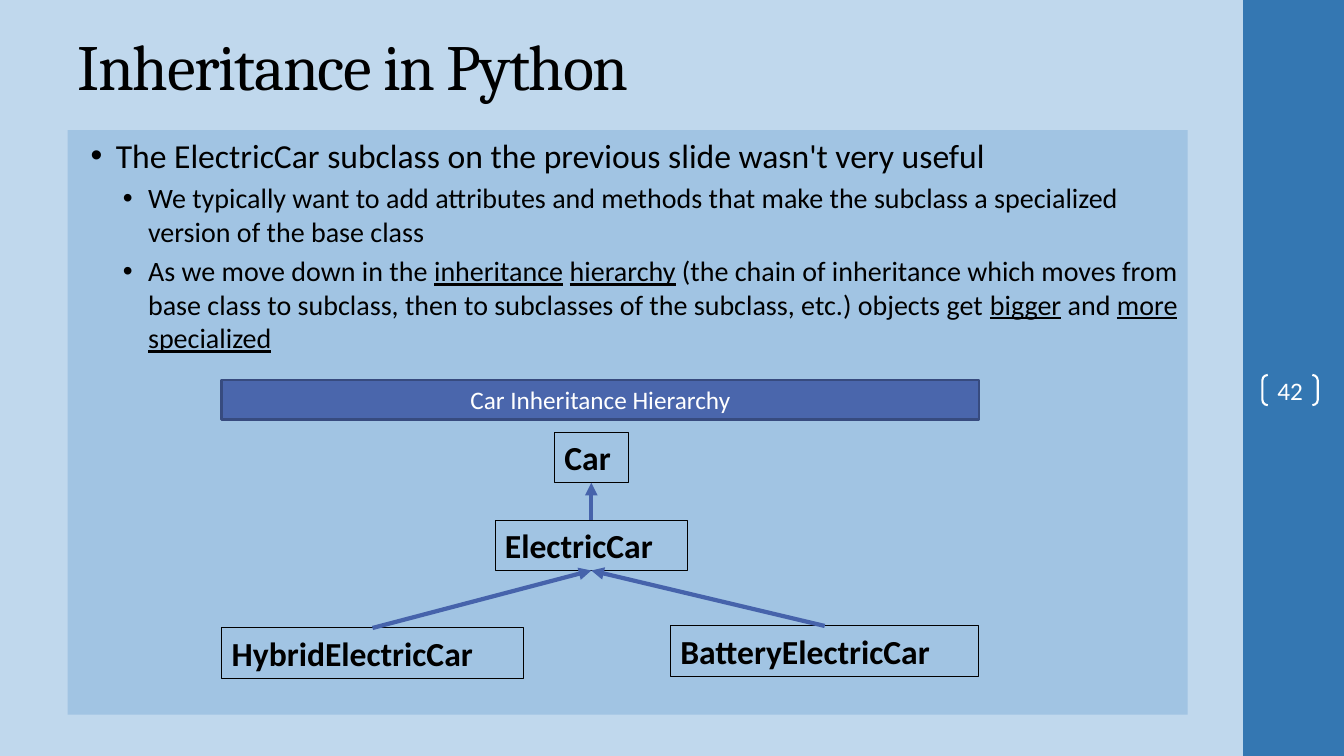
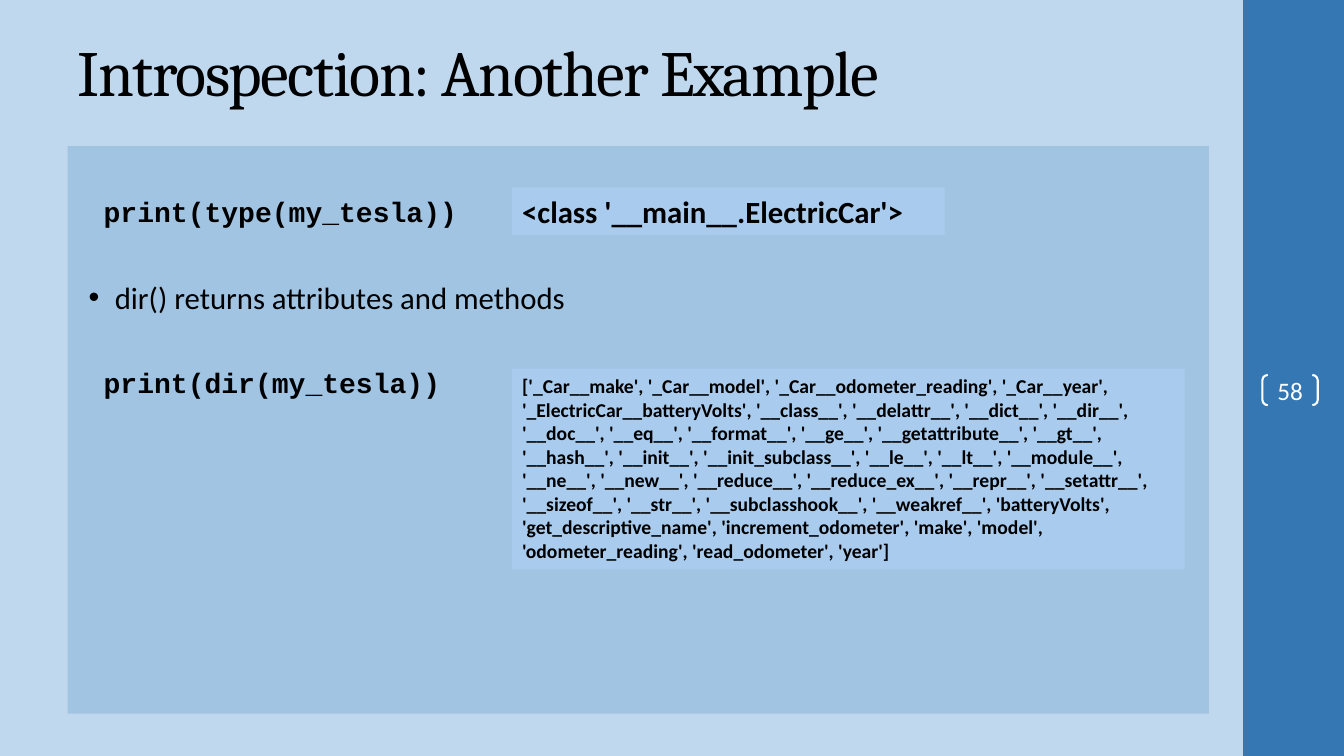
from lxml import etree
from pptx import Presentation
from pptx import util as u
from pptx.dml.color import RGBColor
from pptx.enum import shapes, text
from pptx.oxml import ns

PX = 9144  # EMU per px, 100 px to the inch
SLIDE_W, SLIDE_H = 1333, 750
MARGIN = 67
BAND_X, BAND_W = 1233, 100

BACKGROUND, BAND, PANEL, OUTPUT = "C0D8ED", "3477B2", "A1C4E3", "A9CCEE"
BLACK, WHITE = "000000", "FFFFFF"
BAR, BAR_EDGE, ARROW = "4A66AC", "374B7F", "4663AB"

LEFT, CENTER = text.PP_ALIGN.LEFT, text.PP_ALIGN.CENTER
TOP, MIDDLE = text.MSO_ANCHOR.TOP, text.MSO_ANCHOR.MIDDLE
RECT = shapes.MSO_SHAPE.RECTANGLE
BRACKETS = shapes.MSO_SHAPE.DOUBLE_BRACKET

# Paragraph styles: left margin and indent in px, the rest as font values
BULLET = dict(margin=38, indent=-25, bullet=True, size=24)
SUB_BULLET = dict(margin=70, indent=-25, bullet=True, size=20, level=1, before=4)
NOTE = dict(margin=37, indent=-26, bullet=True, size=22, before=36)
CODE = dict(margin=26, size=20, name="Courier New", bold=True)

DIR_OUTPUT = (
    "['_Car__make', '_Car__model', '_Car__odometer_reading', '_Car__year', "
    "'_ElectricCar__batteryVolts', '__class__', '__delattr__', '__dict__', "
    "'__dir__', '__doc__', '__eq__', '__format__', '__ge__', "
    "'__getattribute__', '__gt__', '__hash__', '__init__', "
    "'__init_subclass__', '__le__', '__lt__', '__module__', '__ne__', "
    "'__new__', '__reduce__', '__reduce_ex__', '__repr__', '__setattr__', "
    "'__sizeof__', '__str__', '__subclasshook__', '__weakref__', "
    "'batteryVolts', 'get_descriptive_name', 'increment_odometer', 'make', "
    "'model', 'odometer_reading', 'read_odometer', 'year']"
)


def px(n):
    return u.Emu(n * PX)


def rgb(value):
    return RGBColor.from_string(value)


def assign(obj, **values):
    for name, value in values.items():
        setattr(obj, name, value)


def child(parent, tag, **attrs):
    return etree.SubElement(parent, ns.qn(tag), attrs)


def set_font(font, size, color=BLACK, name="Calibri", bold=False):
    assign(font, size=u.Pt(size), name=name, bold=bold)
    font.color.rgb = rgb(color)


def add_box(slide, x, y, w, h, kind=RECT, fill=None, line=None, weight=0.75):
    sp = slide.shapes.add_shape(kind, px(x), px(y), px(w), px(h))
    sp.shadow.inherit = False
    if fill:
        sp.fill.solid()
        sp.fill.fore_color.rgb = rgb(fill)
    else:
        sp.fill.background()
    if line:
        sp.line.color.rgb = rgb(line)
        sp.line.width = u.Pt(weight)
    else:
        sp.line.fill.background()
    return sp


def write_label(sp, words, size, align=LEFT, anchor=TOP, **font):
    tf = sp.text_frame
    assign(tf, word_wrap=True, vertical_anchor=anchor)
    p = tf.paragraphs[0]
    p.alignment = align
    r = p.add_run()
    r.text = words
    set_font(r.font, size, **font)
    return r


def write_paragraph(p, words, margin, indent=0, bullet=False, level=0,
                    before=0, **font):
    """Fill a paragraph; words between asterisks are underlined."""
    pPr = p._p.get_or_add_pPr()
    pPr.set("marL", str(margin * PX))
    pPr.set("indent", str(indent * PX))
    if bullet:
        child(child(pPr, "a:buClr"), "a:srgbClr", val=BLACK)
        child(pPr, "a:buFont", typeface="Arial")
        child(pPr, "a:buChar", char="•")
    assign(p, alignment=LEFT, level=level, space_before=u.Pt(before))
    for i, part in enumerate(words.split("*")):
        if part:
            r = p.add_run()
            r.text = part
            set_font(r.font, **font)
            r.font.underline = i % 2 == 1


def add_panel(slide, y, w, h, paragraphs, inset=5):
    tf = add_box(slide, MARGIN, y, w, h, fill=PANEL).text_frame
    assign(tf, word_wrap=True, vertical_anchor=TOP, margin_top=px(inset))
    for i, (words, style) in enumerate(paragraphs):
        p = tf.add_paragraph() if i else tf.paragraphs[0]
        write_paragraph(p, words, **style)


def add_class(slide, name, x, y, w):
    sp = add_box(slide, x, y, w, 50, line=BLACK)
    write_label(sp, name, 24, bold=True)
    return sp


def add_output(slide, words, y, w, h, size):
    sp = add_box(slide, 508, y, w, h, fill=OUTPUT)
    write_label(sp, words, size, bold=True)


def add_inherits(slide, subclass, base):
    """Arrow from the top of a subclass to the bottom of its base class."""
    line = slide.shapes.add_connector(shapes.MSO_CONNECTOR.STRAIGHT, 0, 0, 0, 0)
    line.begin_connect(subclass, 0)
    line.end_connect(base, 2)
    line.line.color.rgb = rgb(ARROW)
    line.line.width = u.Pt(3)
    spPr = line._element.spPr
    child(spPr.get_or_add_ln(), "a:tailEnd", type="triangle")
    child(spPr, "a:effectLst")


def add_slide(prs, title, number, title_y, title_h):
    slide = prs.slides.add_slide(prs.slide_layouts[5])
    add_box(slide, BAND_X, 0, BAND_W, SLIDE_H, fill=BAND)

    sp = slide.shapes.title
    assign(sp, left=px(MARGIN), top=px(title_y), width=px(1111), height=px(title_h))
    sp.text_frame.auto_size = text.MSO_AUTO_SIZE.NONE
    r = write_label(sp, title, 46, anchor=MIDDLE, name="Cambria")
    r._r.get_or_add_rPr().set("spc", "-100")

    sp = add_box(slide, 1252, 372, 55, 30, BRACKETS, line=WHITE, weight=1.5)
    sp.adjustments[0] = 0.18
    assign(sp.text_frame, margin_left=0, margin_right=0, margin_top=0, margin_bottom=0)
    write_label(sp, str(number), 18, CENTER, MIDDLE, color=WHITE)
    return slide


def build_inheritance(prs):
    slide = add_slide(prs, "Inheritance in Python", 42, 16, 97)
    add_panel(slide, 129, 1111, 580, [
        ("The ElectricCar subclass on the previous slide wasn't very useful", BULLET),
        ("We typically want to add attributes and methods that make the subclass "
         "a specialized version of the base class", SUB_BULLET),
        ("As we move down in the *inheritance* *hierarchy* (the chain of "
         "inheritance which moves from base class to subclass, then to subclasses "
         "of the subclass, etc.) objects get *bigger* and *more* *specialized*",
         SUB_BULLET),
    ])
    bar = add_box(slide, 220, 377, 751, 39, fill=BAR, line=BAR_EDGE, weight=2)
    write_label(bar, "Car Inheritance Hierarchy", 18, CENTER, MIDDLE, color=WHITE)

    car = add_class(slide, "Car", 550, 429, 73)
    electric = add_class(slide, "ElectricCar", 491, 516, 191)
    battery = add_class(slide, "BatteryElectricCar", 665, 621, 306)
    hybrid = add_class(slide, "HybridElectricCar", 220, 623, 299)
    for subclass, base in ((electric, car), (battery, electric), (hybrid, electric)):
        add_inherits(slide, subclass, base)


def build_introspection(prs):
    slide = add_slide(prs, "Introspection: Another Example", 58, 21, 99)
    add_panel(slide, 145, 1132, 563, [
        ("print(type(my_tesla))", CODE),
        ("dir() returns attributes and methods", NOTE),
        ("print(dir(my_tesla))", dict(CODE, before=36)),
    ], inset=48)
    add_output(slide, "<class '__main__.ElectricCar'>", 186, 429, 47, 22)
    add_output(slide, DIR_OUTPUT, 366, 667, 199, 14)


def main():
    prs = Presentation()
    assign(prs, slide_width=px(SLIDE_W), slide_height=px(SLIDE_H))
    fill = prs.slide_master.background.fill
    fill.solid()
    fill.fore_color.rgb = rgb(BACKGROUND)
    build_inheritance(prs)
    build_introspection(prs)
    prs.save("out.pptx")


if __name__ == "__main__":
    main()
